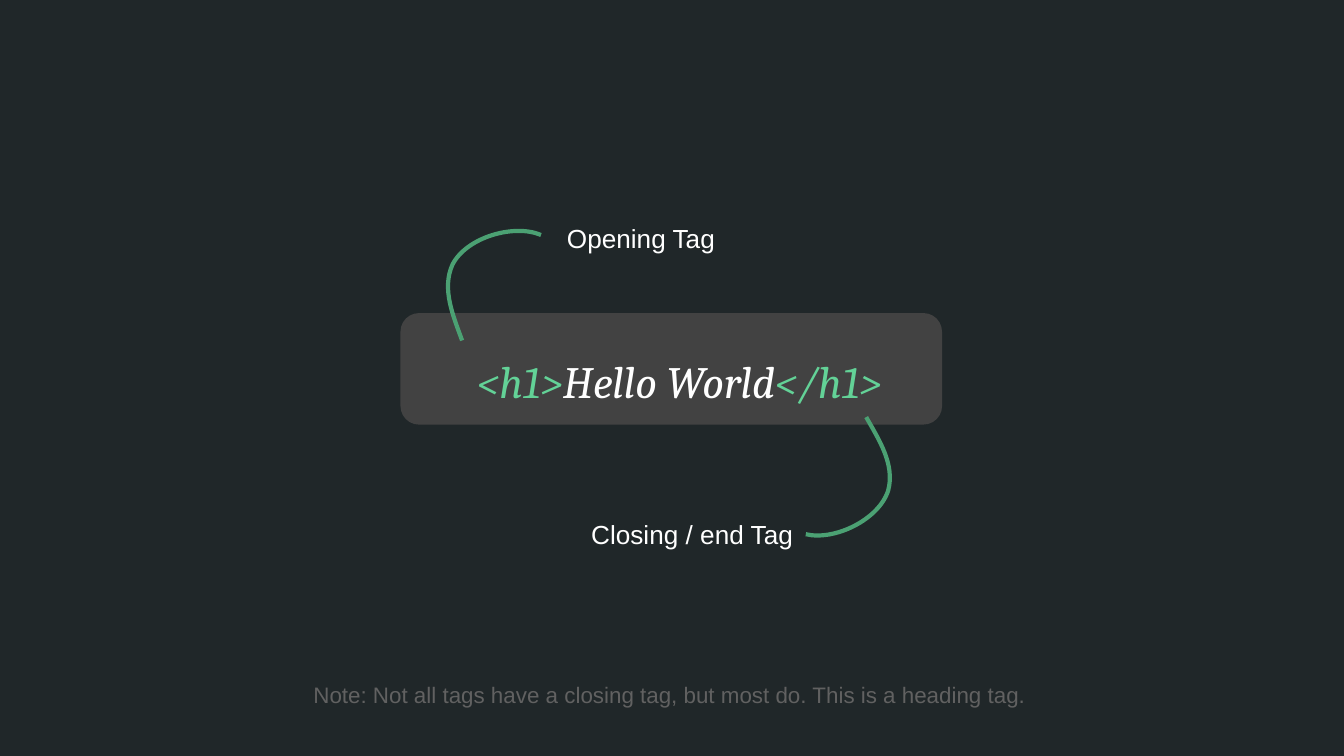
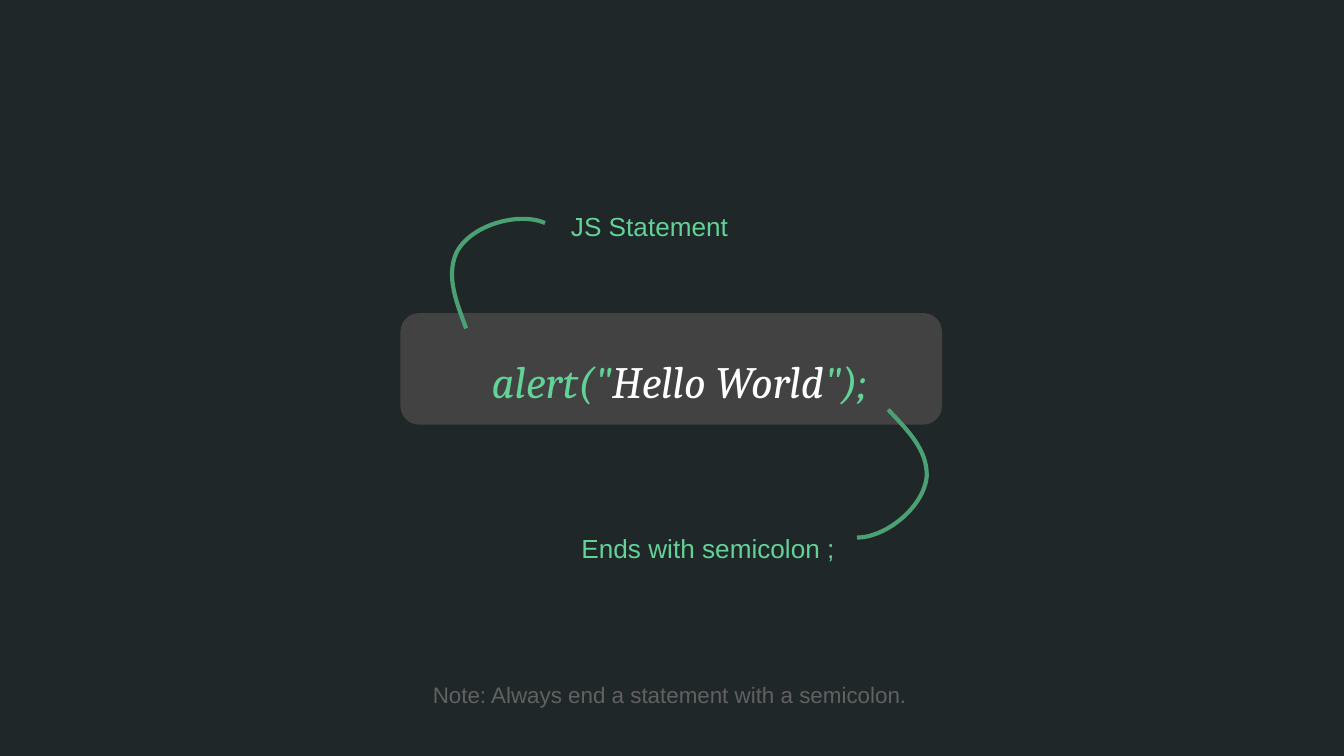
import pptx
import pptx.dml.color
import pptx.enum.shapes
import pptx.enum.text
import pptx.oxml
import pptx.oxml.ns
import pptx.util

Inches = pptx.util.Inches
Pt = pptx.util.Pt
Align = pptx.enum.text.PP_ALIGN

COLORS = {
    "background": "202729",
    "panel": "424242",
    "green": "63D297",
    "white": "FFFFFF",
    "arc": "4BA173",
    "note": "616161",
}
ARC_WIDTH, ARC_HEIGHT = 0.47, 0.97
ARC_CURVES = [
    [(0.3, 0.89), (0.09, 0.81), (0.02, 0.62)],
    [(-0.05, 0.4), (0.13, 0.08), (0.33, 0)],
]

SLIDES = [
    {
        "code": [("<h1>", "green"), ("Hello World", "white"), ("</h1>", "green")],
        "labels": [
            ("Opening Tag", "white", Align.LEFT, (4.12, 1.52, 3.34, 0.62)),
            ("Closing / end Tag", "white", Align.LEFT, (4.3, 3.72, 1.99, 0.83)),
        ],
        "arcs": [(3.38, 1.54, 45), (6.12, 3.15, 215.5)],
        "note": "Note: Not all tags have a closing tag, but most do. This is a heading tag.",
    },
    {
        "code": [('alert("', "green"), ("Hello World", "white"), ('");', "green")],
        "labels": [
            ("JS Statement", "green", Align.LEFT, (4.15, 1.43, 3.34, 0.62)),
            ("Ends with semicolon ;", "green", Align.RIGHT, (4.19, 3.83, 2.12, 0.44)),
        ],
        "arcs": [(3.41, 1.45, 45), (6.41, 3.1, 201.9)],
        "note": "Note: Always end a statement with a semicolon.",
    },
]


def color(name):
    return pptx.dml.color.RGBColor.from_string(COLORS[name])


def write(box, spans, size, font, align, italic=None):
    frame = box.text_frame
    frame.word_wrap = True
    frame.auto_size = pptx.enum.text.MSO_AUTO_SIZE.NONE
    frame.margin_left = frame.margin_right = Inches(0.1)
    frame.margin_top = frame.margin_bottom = Inches(0.1)
    para = frame.paragraphs[0]
    para.alignment = align
    para.line_spacing = 1.15
    para.space_before = Pt(0)
    for text, tint in spans:
        span = para.add_run()
        span.text = text
        span.font.size = Pt(size)
        span.font.name = font
        span.font.italic = italic
        span.font.color.rgb = color(tint)


deck = pptx.Presentation()
deck.slide_width = Inches(10)
deck.slide_height = deck.slide_width * 9 // 16
backdrop = deck.slide_master.background.fill
backdrop.solid()
backdrop.fore_color.rgb = color("background")

for content in SLIDES:
    page = deck.slides.add_slide(deck.slide_layouts[5])

    panel = page.shapes.add_shape(
        pptx.enum.shapes.MSO_SHAPE.ROUNDED_RECTANGLE,
        Inches(2.98), Inches(2.33), Inches(4.03), Inches(0.83),
    )
    panel.shadow.inherit = False
    panel.fill.solid()
    panel.fill.fore_color.rgb = color("panel")
    panel.line.fill.background()

    title = page.shapes.title
    title.left, title.top = Inches(0.54), Inches(0.58)
    title.width, title.height = Inches(9.03), Inches(4.45)
    title.text_frame.vertical_anchor = pptx.enum.text.MSO_ANCHOR.MIDDLE
    write(title, content["code"], 24, "Cambria", Align.CENTER, italic=True)
    panel._element.addnext(title._element)

    for left, top, rotation in content["arcs"]:
        builder = page.shapes.build_freeform(Inches(ARC_WIDTH), Inches(ARC_HEIGHT))
        builder.add_line_segments([(0, 0)], close=False)
        arc = builder.convert_to_shape(Inches(left), Inches(top))
        segment = arc._element.xpath(".//a:lnTo")[0]
        outline = segment.getparent()
        outline.remove(segment)
        for curve in ARC_CURVES:
            bezier = pptx.oxml.parse_xml(
                f'<a:cubicBezTo {pptx.oxml.ns.nsdecls("a")}>'
                + "".join(f'<a:pt x="{Inches(x)}" y="{Inches(y)}"/>' for x, y in curve)
                + "</a:cubicBezTo>"
            )
            outline.append(bezier)
        arc.rotation = rotation
        arc.shadow.inherit = False
        arc.fill.background()
        arc.line.color.rgb = color("arc")
        arc.line.width = Pt(2.25)

    for text, tint, align, place in content["labels"]:
        label = page.shapes.add_textbox(*map(Inches, place))
        write(label, [(text, tint)], 14, "Arial", align)

    note = page.shapes.add_textbox(Inches(0.4), Inches(4.94), Inches(9.17), Inches(0.44))
    write(note, [(content["note"], "note")], 12, "Arial", Align.CENTER)

deck.save("out.pptx")
